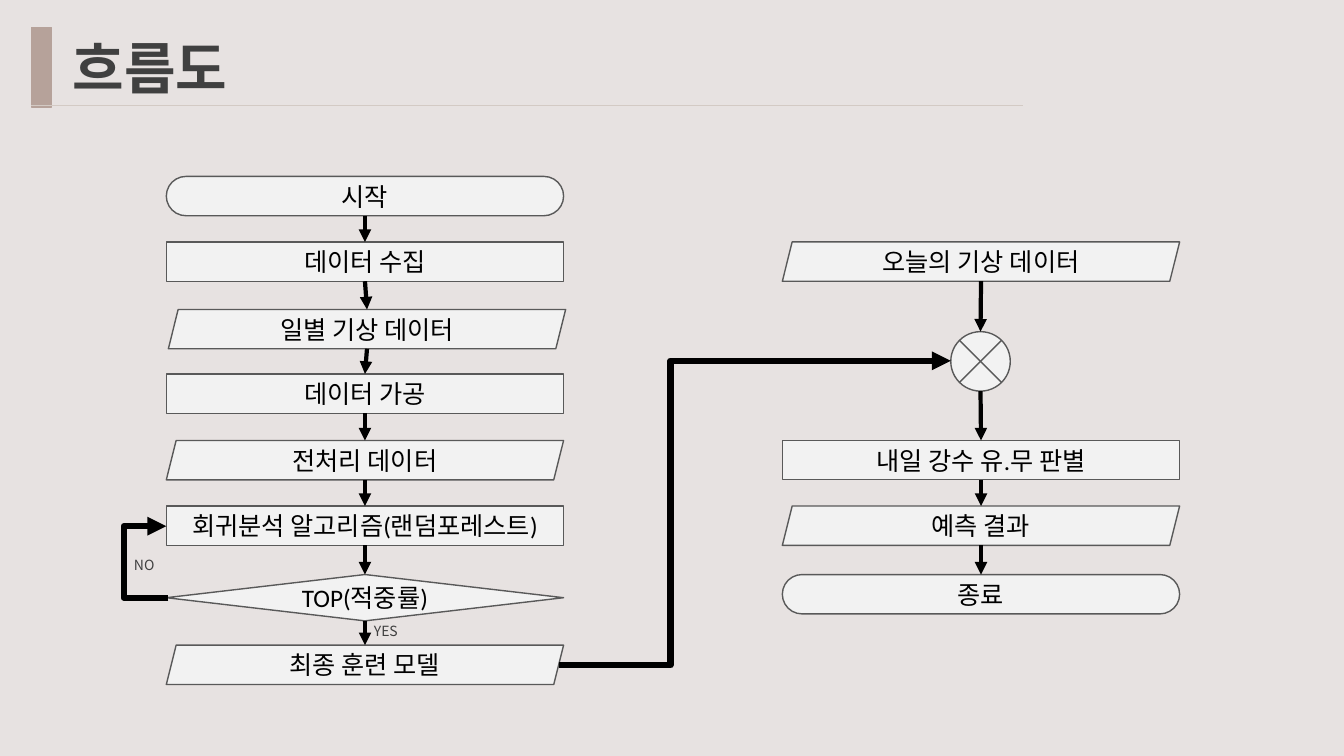
from pptx import Presentation
from pptx.dml.color import RGBColor
from pptx.enum.shapes import MSO_CONNECTOR as Conn, MSO_SHAPE as Kind
from pptx.enum.text import MSO_ANCHOR as Anchor, PP_ALIGN as Align
from pptx.oxml.ns import qn
from pptx.util import Inches, Pt
from lxml.etree import SubElement

COLORS = {
    "back": "E7E2E1", "bar": "B6A29A", "rule": "D3CAC4", "title": "404040",
    "box": "F2F2F2", "edge": "595959", "ink": "000000",
}
HANGUL = "Noto Sans CJK KR"
FORMATS = {
    "title": {"name": HANGUL, "size": Pt(40), "bold": True},
    "step": {"name": "Calibri", "size": Pt(18)},
    "label": {"name": HANGUL, "size": Pt(10)},
}
PILL, RECT, SLANT = Kind.ROUNDED_RECTANGLE, Kind.RECTANGLE, Kind.PARALLELOGRAM
RHOMB, JOINT = Kind.DIAMOND, Kind.FLOWCHART_SUMMING_JUNCTION
FOUR_SIDED = (PILL, RECT, RHOMB)
WIDE, HIGH = 3.94, 0.39
LEFT, RIGHT = 1.65, 7.76

# kind, text, left, top, width, height
TRAIN = [
    (PILL, "시작", LEFT, 1.75, WIDE, HIGH),
    (RECT, "데이터 수집", LEFT, 2.4, WIDE, HIGH),
    (SLANT, "일별 기상 데이터", LEFT + 0.02, 3.07, WIDE, HIGH),
    (RECT, "데이터 가공", LEFT, 3.71, WIDE, HIGH),
    (SLANT, "전처리 데이터", LEFT, 4.37, WIDE, HIGH),
    (RECT, "회귀분석 알고리즘(랜덤포레스트)", LEFT, 5.02, WIDE, HIGH),
    (RHOMB, "TOP(적중률)", LEFT, 5.7, WIDE, 0.46),
    (SLANT, "최종 훈련 모델", LEFT, 6.4, WIDE, HIGH),
]
PREDICT = [
    (SLANT, "오늘의 기상 데이터", RIGHT, 2.4, WIDE, HIGH),
    (JOINT, "", 9.43, 3.29, 0.59, 0.59),
    (RECT, "내일 강수 유.무 판별", RIGHT, 4.37, WIDE, HIGH),
    (SLANT, "예측 결과", RIGHT, 5.02, WIDE, HIGH),
    (PILL, "종료", RIGHT, 5.7, WIDE, HIGH),
]


def rgb(name):
    return RGBColor.from_string(COLORS[name])


class Chart:
    """Draws flowchart elements on one slide."""

    def __init__(self, deck):
        self.slide = deck.slides.add_slide(deck.slide_layouts[6])
        self.shapes = self.slide.shapes
        fill = self.slide.background.fill
        fill.solid()
        fill.fore_color.rgb = rgb("back")

    def put(self, frame, text, style, color):
        """Fill a text frame with one styled run."""
        run = frame.paragraphs[0].add_run()
        run.text = text
        for key, value in FORMATS[style].items():
            setattr(run.font, key, value)
        run.font.color.rgb = rgb(color)
        SubElement(run.font._element, qn("a:ea")).set("typeface", HANGUL)

    def shape(self, kind, left, top, width, height, fill="box", edge="edge"):
        item = self.shapes.add_shape(kind, *map(Inches, (left, top, width, height)))
        item.shadow.inherit = False
        item.fill.solid()
        item.fill.fore_color.rgb = rgb(fill)
        item.line.color.rgb = rgb(edge)
        item.line.width = Pt(1)
        return item

    def step(self, kind, text, *place):
        item = self.shape(kind, *place)
        if kind == PILL:
            item.adjustments[0] = 0.5
        if text:
            frame = item.text_frame
            frame.word_wrap = True
            frame.vertical_anchor = Anchor.MIDDLE
            frame.paragraphs[0].alignment = Align.CENTER
            self.put(frame, text, "step", "ink")
        return item

    def text(self, text, style, place, wrap=False, **frame_format):
        frame = self.shapes.add_textbox(*map(Inches, place)).text_frame
        frame.word_wrap = wrap
        for key, value in frame_format.items():
            setattr(frame, key, value)
        self.put(frame, text, style, "title")

    def line(self, kind, ends, width, color="ink", head=True):
        """Draw a connector between ends, given in EMU as x1, y1, x2, y2."""
        item = self.shapes.add_connector(kind, *ends)
        item.line.color.rgb = rgb(color)
        item.line.width = Pt(width)
        if head:
            SubElement(item.line._get_or_add_ln(), qn("a:tailEnd")).set("type", "triangle")
        SubElement(item._element.spPr, qn("a:effectLst"))
        return item

    def arrow(self, start, end):
        """Point from the bottom of one step to the top of the next."""
        ends = (start.left + start.width // 2, start.top + start.height,
                end.left + end.width // 2, end.top)
        item = self.line(Conn.STRAIGHT, ends, 3)
        if start.auto_shape_type in FOUR_SIDED:
            item.begin_connect(start, 2)
        if end.auto_shape_type in FOUR_SIDED:
            item.end_connect(end, 0)

    def elbow(self, x1, y1, x2, y2, bend):
        """Draw a bent arrow whose upright part stands at x = bend."""
        item = self.line(Conn.ELBOW, map(Inches, (x1, y1, x2, y2)), 4.5)
        ratio = round((bend - x1) / (x2 - x1) * 100000)
        guides = item._element.spPr.find(qn("a:prstGeom")).get_or_add_avLst()
        guide = SubElement(guides, qn("a:gd"))
        guide.set("name", "adj1")
        guide.set("fmla", f"val {ratio}")

    def flow(self, steps):
        items = [self.step(*step) for step in steps]
        for start, end in zip(items, items[1:]):
            self.arrow(start, end)


def main():
    deck = Presentation()
    deck.slide_width, deck.slide_height = Inches(13.33), Inches(7.5)
    chart = Chart(deck)
    chart.shape(RECT, 0.31, 0.27, 0.2, 0.79, "bar", "bar")
    chart.line(Conn.STRAIGHT, map(Inches, (0.31, 1.05, 10.15, 1.05)), 0.5, "rule", False)
    chart.text("흐름도", "title", (0.5, 0.27, 9.65, 0.79), True,
               vertical_anchor=Anchor.MIDDLE, margin_left=Inches(0.22))
    chart.flow(TRAIN)
    chart.flow(PREDICT)
    chart.elbow(1.67, 5.93, 1.65, 5.22, 1.23)
    chart.elbow(5.54, 6.6, 9.43, 3.58, 6.65)
    chart.text("YES", "label", (3.61, 6.13, 0.45, 0.27))
    chart.text("NO", "label", (1.23, 5.47, 0.41, 0.27))
    deck.save("out.pptx")


if __name__ == "__main__":
    main()
